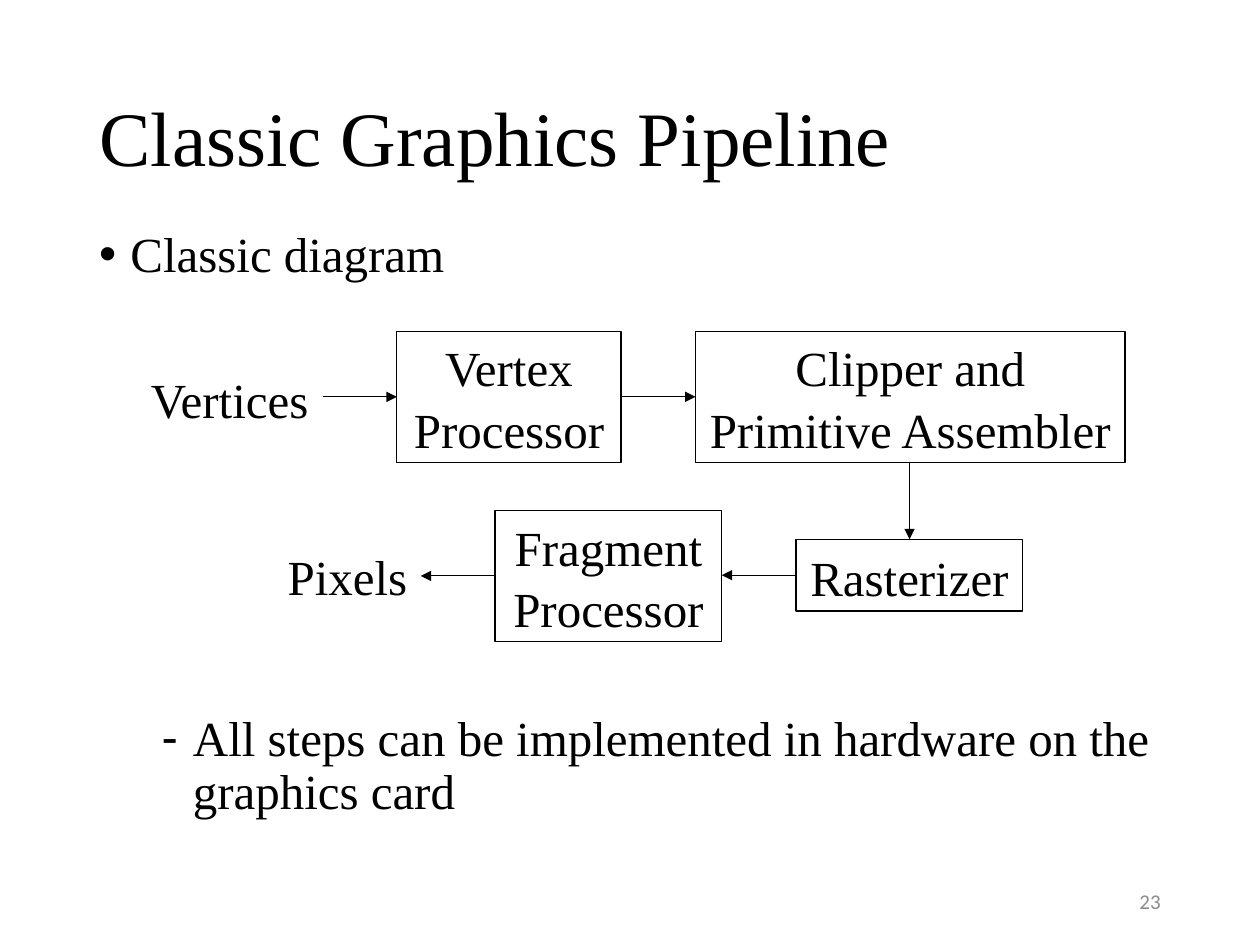
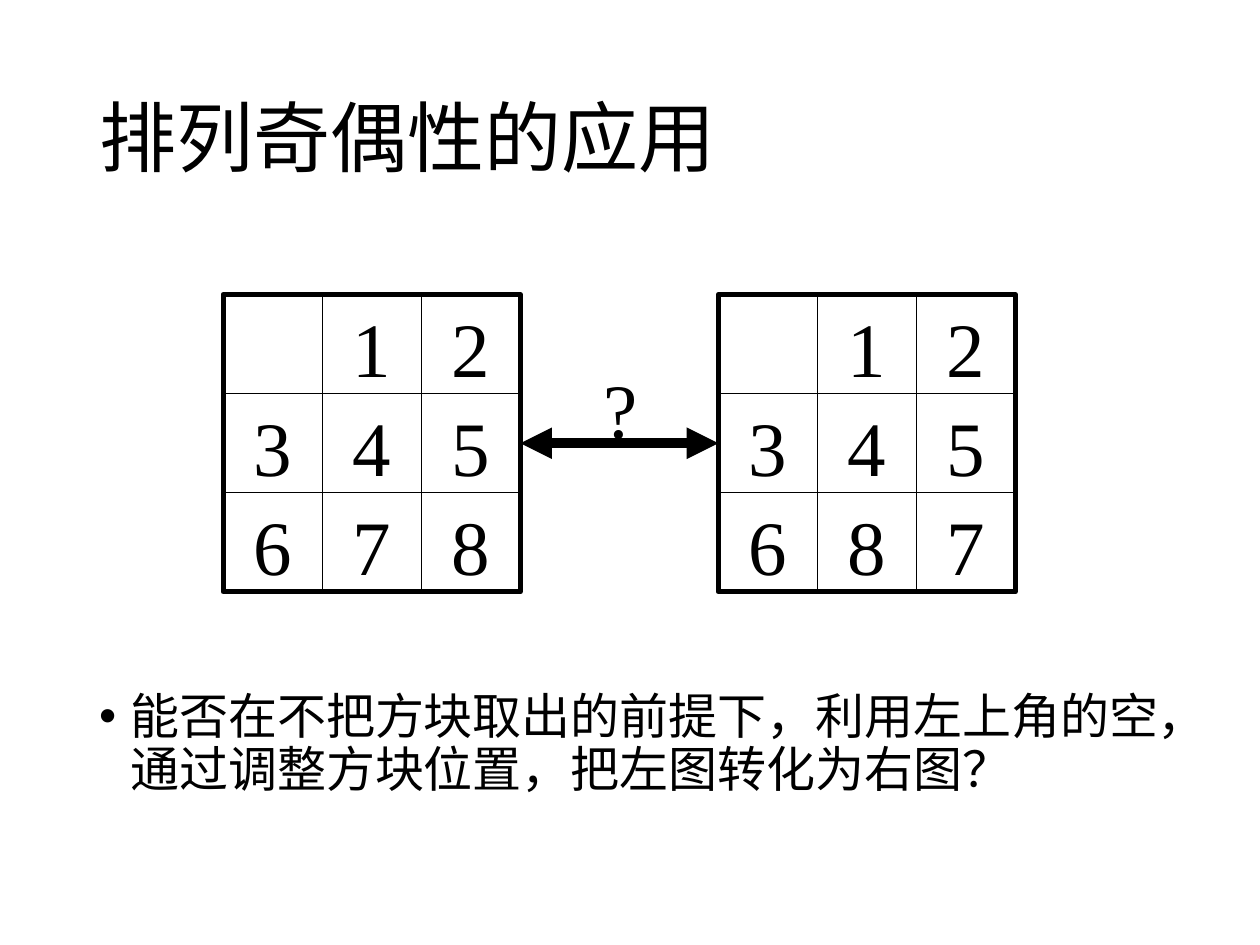
import pptx
import pptx.dml.color
import pptx.enum.shapes
import pptx.enum.text
import pptx.oxml
import pptx.oxml.ns
import pptx.util
import lxml.etree

Cm = pptx.util.Cm
Pt = pptx.util.Pt
ALIGN = pptx.enum.text.PP_ALIGN
ANCHOR = pptx.enum.text.MSO_ANCHOR

COLOURS = {"ink": "000000", "page_number": "8C8C8C"}
SERIF = "Times New Roman"
CHINESE = "Noto Sans CJK SC"
SANS = "Calibri"

TITLE_BOX = (1.75, 1.02, 21.91, 3.68)
PAGE_NUMBER_BOX = (17.93, 17.65, 5.72, 1.02)
BULLET_STEP = 0.63


def colour(name):
    return pptx.dml.color.RGBColor.from_string(COLOURS[name])


def place(shape, box):
    shape.left, shape.top, shape.width, shape.height = map(Cm, box)


def write(shape, text, size, font=SERIF, ink="ink", align=ALIGN.LEFT,
          anchor=ANCHOR.MIDDLE, spacing=1.0, wrap=True):
    """Fill a shape with text, one paragraph per line."""
    frame = shape.text_frame
    frame.text = text
    frame.word_wrap = wrap
    frame.auto_size = pptx.enum.text.MSO_AUTO_SIZE.NONE
    frame.vertical_anchor = anchor
    for paragraph in frame.paragraphs:
        paragraph.alignment = align
        paragraph.line_spacing = spacing
        paragraph.font.size = Pt(size)
        paragraph.font.color.rgb = colour(ink)
        paragraph.font.name = font
        if font == CHINESE:
            defaults = paragraph._p.pPr.find(pptx.oxml.ns.qn("a:defRPr"))
            east_asian = lxml.etree.SubElement(defaults, pptx.oxml.ns.qn("a:ea"))
            east_asian.set("typeface", font)


def add_text(slide, box, text, size, **style):
    shape = slide.shapes.add_textbox(*map(Cm, box))
    write(shape, text, size, **style)
    return shape


def add_frame(slide, box, width):
    """Unfilled rectangle with a black outline."""
    shape = slide.shapes.add_shape(
        pptx.enum.shapes.MSO_SHAPE.RECTANGLE, *map(Cm, box))
    shape.shadow.inherit = False
    shape.fill.background()
    shape.line.color.rgb = colour("ink")
    shape.line.width = Pt(width)
    return shape


def add_line(slide, start, end, width=0.5, arrows=()):
    """Straight line; arrows names the ends (headEnd, tailEnd) with a triangle."""
    connector = slide.shapes.add_connector(
        pptx.enum.shapes.MSO_CONNECTOR.STRAIGHT, *map(Cm, start + end))
    connector.line.color.rgb = colour("ink")
    connector.line.width = Pt(width)
    for arrow in arrows:
        tip = lxml.etree.SubElement(
            connector.line._get_or_add_ln(), pptx.oxml.ns.qn("a:" + arrow))
        tip.set("type", "triangle")
    lxml.etree.SubElement(connector.element.spPr, pptx.oxml.ns.qn("a:effectLst"))


def add_bullet(slide, box, text, mark="•", level=0, font=SERIF):
    shape = add_text(slide, box, text, 28, font=font, anchor=ANCHOR.TOP, spacing=0.9)
    properties = shape.text_frame.paragraphs[0]._p.pPr
    properties.set("marL", str(Cm(BULLET_STEP * (1 + 2 * level))))
    properties.set("indent", str(-Cm(BULLET_STEP)))
    properties.set("hangingPunct", "1")
    defaults = properties.find(pptx.oxml.ns.qn("a:defRPr"))
    for tag, key, value in (("a:buFont", "typeface", "Arial"), ("a:buChar", "char", mark)):
        bullet = properties.makeelement(pptx.oxml.ns.qn(tag), {key: value})
        defaults.addprevious(bullet)


def add_titled_slide(presentation, title, font=SERIF):
    slide = presentation.slides.add_slide(presentation.slide_layouts[5])
    place(slide.shapes.title, TITLE_BOX)
    write(slide.shapes.title, title, 44, font=font, spacing=0.9)
    return slide


def add_pipeline(slide, left, top):
    """Flow from vertices to pixels, in two rows."""
    # Stage: (box relative to the diagram, text, outlined)
    stages = {
        "vertices": ((0, 0.61, 3.78, 1.45), "Vertices", False),
        "vertex": ((5.26, 0, 4.52, 2.64), "Vertex\nProcessor", True),
        "clipper": ((11.28, 0, 8.66, 2.64), "Clipper and\nPrimitive Assembler", True),
        "rasterizer": ((13.31, 4.19, 4.57, 1.45), "Rasterizer", True),
        "fragment": ((7.24, 3.61, 4.57, 2.64), "Fragment\vProcessor", True),
        "pixels": ((2.79, 4.17, 2.95, 1.45), "Pixels", False),
    }
    boxes = {}
    for name, ((x, y, width, height), text, outlined) in stages.items():
        box = boxes[name] = (left + x, top + y, width, height)
        style = {"align": ALIGN.CENTER, "spacing": 1.05}
        if outlined:
            write(add_frame(slide, box, 0.75), text, 28, **style)
        else:
            add_text(slide, box, text, 28, **style)

    # Arrows join facing sides, level with the middle of the outlined stage
    def side(name, across, down):
        x, y, width, height = boxes[name]
        return x + across * width, y + down * height

    def join(start, end):
        add_line(slide, start, end, arrows=["tailEnd"])

    for source, target in (("vertices", "vertex"), ("vertex", "clipper")):
        start, end = side(source, 1, 0.5), side(target, 0, 0.5)
        join((start[0], end[1]), end)
    corner = side("rasterizer", 0.5, 0)
    join((corner[0], side("clipper", 0.5, 1)[1]), corner)
    for source, target in (("rasterizer", "fragment"), ("fragment", "pixels")):
        start, end = side(source, 0, 0.5), side(target, 1, 0.5)
        join(start, (end[0], start[1]))


def add_puzzle(slide, left, top, size, digits):
    """Three by three sliding puzzle; a space marks the empty cell."""
    cell = size / 3
    add_frame(slide, (left, top, size, size), 3)
    for step in (1, 2):
        offset = step * cell
        add_line(slide, (left, top + offset), (left + size, top + offset))
        add_line(slide, (left + offset, top), (left + offset, top + size))
    for index, digit in enumerate(digits):
        row, column = divmod(index, 3)
        if digit != " ":
            box = (left + column * cell, top + row * cell, cell, cell)
            add_text(slide, box, digit, 44, align=ALIGN.CENTER, spacing=1.05)


def build_pipeline_slide(presentation):
    slide = add_titled_slide(presentation, "Classic Graphics Pipeline")
    add_bullet(slide, (1.75, 4.52, 21.91, 1.5), "Classic diagram")
    add_pipeline(slide, 2.74, 6.68)
    add_bullet(slide, (1.75, 14.28, 21.91, 2.6),
               "All steps can be implemented in hardware on the graphics card",
               mark="-", level=1)
    add_text(slide, PAGE_NUMBER_BOX, "23", 12, font=SANS, ink="page_number",
             align=ALIGN.RIGHT)


def build_puzzle_slide(presentation):
    slide = add_titled_slide(presentation, "排列奇偶性的应用", CHINESE)
    size, top, first, second = 5.99, 5.94, 4.5, 14.48
    add_puzzle(slide, first, top, size, " 12345678")
    add_puzzle(slide, second, top, size, " 12345687")
    # Two-way arrow between the puzzles
    middle = top + size / 2
    add_line(slide, (first + size, middle), (second, middle), 6,
             ["headEnd", "tailEnd"])
    add_text(slide, (11.91, 7.11, 1.22, 2.13), "?", 44, spacing=1.05, wrap=False)
    add_bullet(slide, (1.75, 13.82, 21.91, 2.74),
               "能否在不把方块取出的前提下，利用左上角的空，通过调整方块位置，把左图转化为右图？",
               font=CHINESE)


def main():
    presentation = pptx.Presentation()
    presentation.slide_width, presentation.slide_height = Cm(25.4), Cm(19.05)
    build_pipeline_slide(presentation)
    build_puzzle_slide(presentation)
    presentation.save("out.pptx")


if __name__ == "__main__":
    main()
